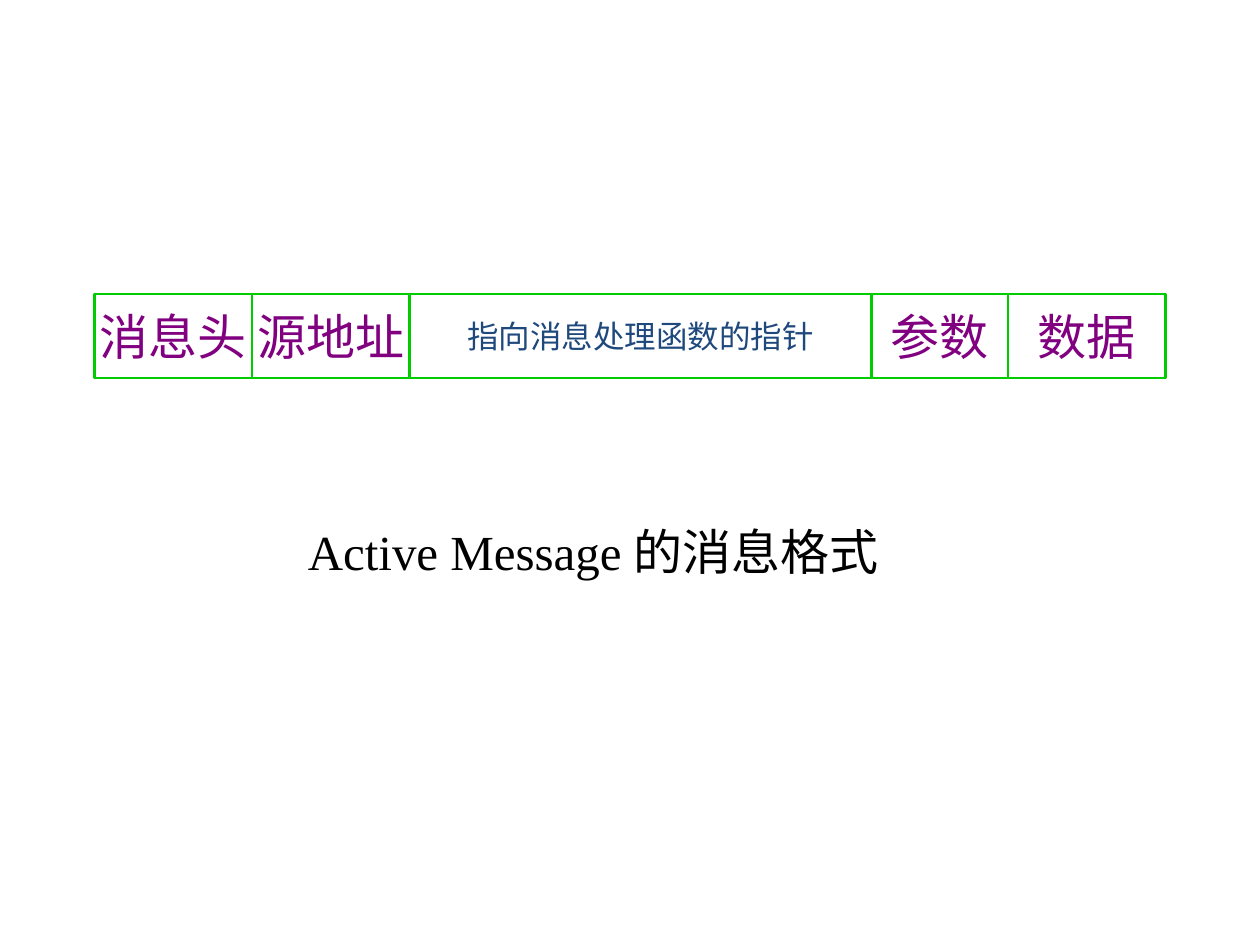
from pptx import Presentation
from pptx.dml.color import RGBColor
from pptx.enum.shapes import MSO_SHAPE as Shape
from pptx.enum.text import MSO_ANCHOR as Anchor, PP_ALIGN as Align
from pptx.util import Emu, Pt

EMU_PER_PX = 9525
FONT = "Times New Roman"
COLORS = {"border": "00CC00", "field": "800080", "pointer": "1F497D", "caption": "000000"}
FIELDS = [
    ("消息头", 120, 28, "field"),
    ("源地址", 120, 28, "field"),
    ("指向消息处理函数的指针", 352, 18, "pointer"),
    ("参数", 104, 28, "field"),
    ("数据", 120, 28, "field"),
]


def px(length):
    """Turn whole pixels into EMU."""
    return Emu(length * EMU_PER_PX)


def color(name):
    """Look up a named colour."""
    return RGBColor.from_string(COLORS[name])


def write_text(shape, text, size, color_name):
    """Write one centred, unwrapped line in a shape."""
    frame = shape.text_frame
    frame.text = text
    frame.word_wrap = False
    frame.vertical_anchor = Anchor.MIDDLE
    paragraph = frame.paragraphs[0]
    paragraph.alignment = Align.CENTER
    for run in paragraph.runs:
        run.font.name = FONT
        run.font.size = Pt(size)
        run.font.color.rgb = color(color_name)


def add_field(slide, left, top, width, height, text, size, color_name):
    """Add one outlined field of the message."""
    field = slide.shapes.add_shape(Shape.RECTANGLE, px(left), px(top), px(width), px(height))
    field.shadow.inherit = False
    field.fill.background()
    field.line.color.rgb = color("border")
    field.line.width = Pt(1.5)
    write_text(field, text, size, color_name)


def add_message(slide, left, top, height):
    """Lay the message fields side by side."""
    for text, width, size, color_name in FIELDS:
        add_field(slide, left, top, width, height, text, size, color_name)
        left += width


def add_caption(slide, left, top, width, height, text):
    """Add the caption below the message."""
    caption = slide.shapes.add_textbox(px(left), px(top), px(width), px(height))
    write_text(caption, text, 28, "caption")


def main():
    """Build and save the slide."""
    presentation = Presentation()
    presentation.slide_width = px(960)
    presentation.slide_height = px(720)
    slide = presentation.slides.add_slide(presentation.slide_layouts[6])
    add_message(slide, 72, 224, 64)
    add_caption(slide, 192, 376, 520, 88, "Active Message 的消息格式")
    presentation.save("out.pptx")


if __name__ == "__main__":
    main()
